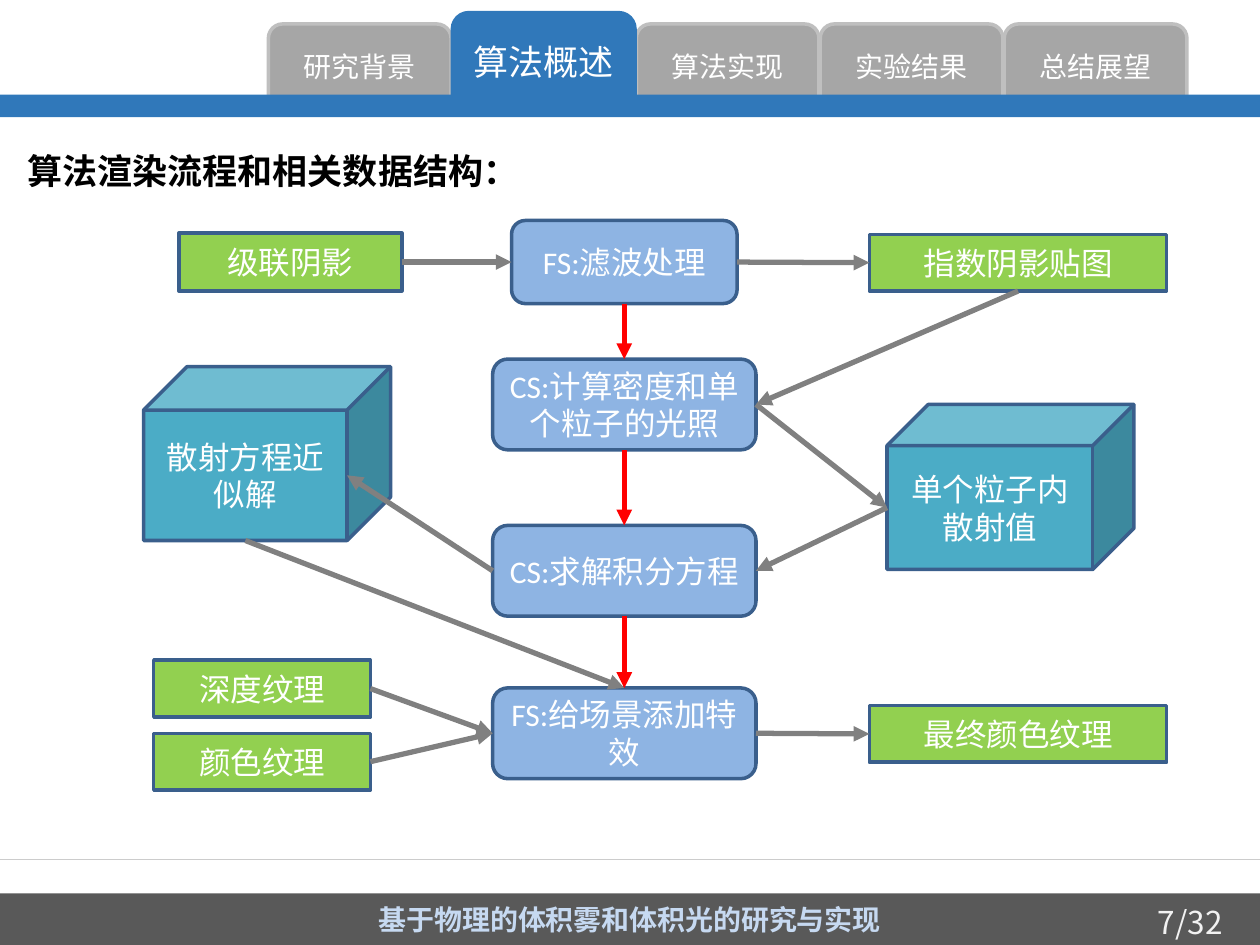
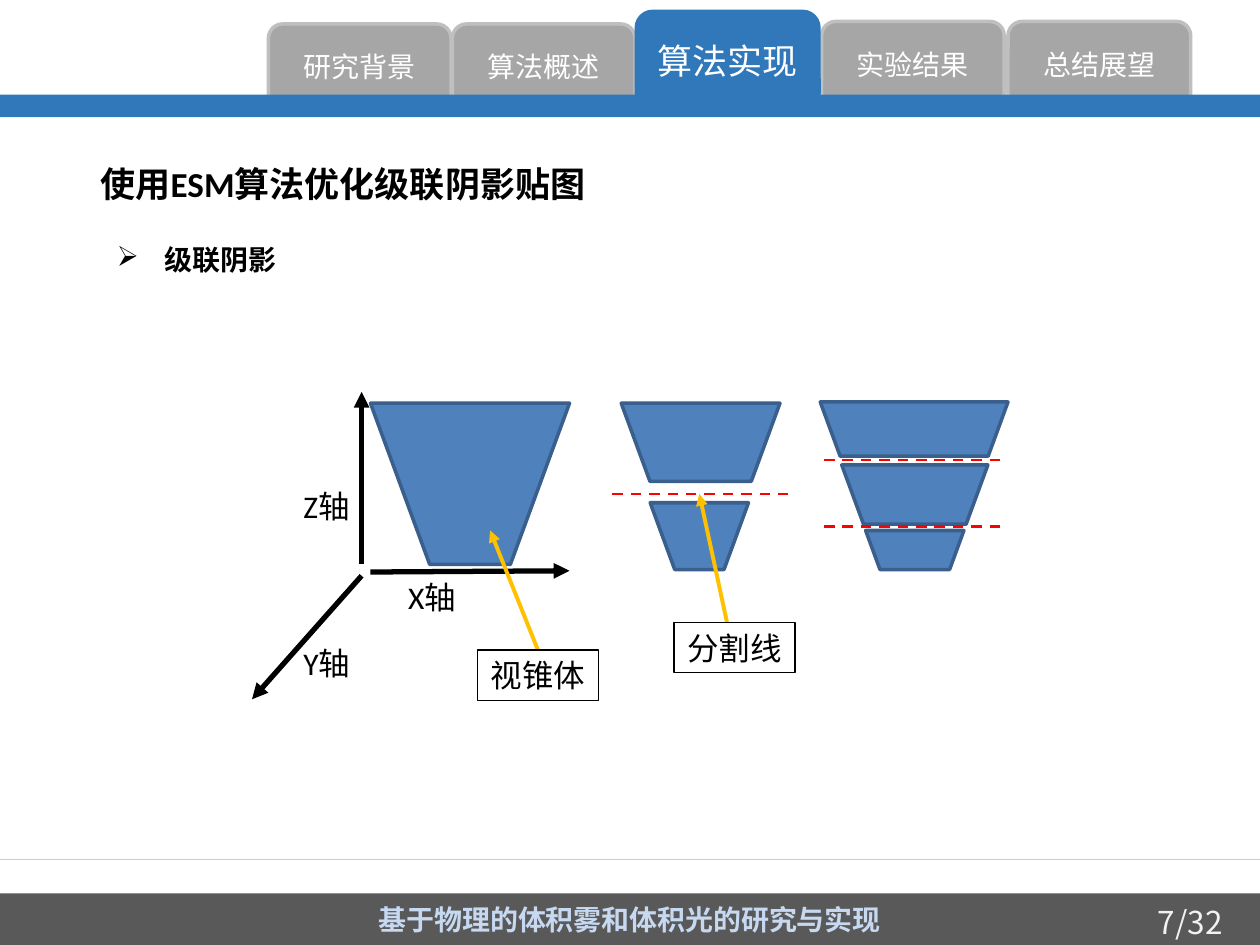
from lxml import etree
from pptx import Presentation
from pptx.dml.color import RGBColor
from pptx.enum import dml, shapes, text
from pptx.oxml import ns
from pptx.util import Inches, Pt

HUE = {
    "blue": "3078BA", "tab": "A6A6A6", "rim": "BFBFBF", "foot": "595959",
    "pale": "C6D9F1", "page": "F2F2F2", "rule": "CCCCCC", "white": "FFFFFF",
    "black": "000000", "green": "92D050", "step": "8EB4E3", "cube": "4BACC6",
    "edge": "3A5F8C", "cone": "4F81BD", "gray": "808080", "red": "FF0000",
    "gold": "FFC000",
}
LATIN, HAN = "Calibri", "Noto Sans CJK SC"
KIND = shapes.MSO_SHAPE
MID = text.PP_ALIGN.CENTER
TABS = ["研究背景", "算法概述", "算法实现", "实验结果", "总结展望"]


def rgb(hue):
    return RGBColor.from_string(HUE[hue])


def write(shape, words, size=18, hue="white", font=LATIN, bold=False,
          align=None, wrap=True, bullet=None):
    frame = shape.text_frame
    frame.word_wrap = wrap
    para = frame.paragraphs[0]
    para.alignment = align
    run = para.add_run()
    run.text = words
    run.font.size, run.font.bold, run.font.name = Pt(size), bold, font
    run.font.color.rgb = rgb(hue)
    props = run.font._element
    props.set("lang", "zh-CN")
    etree.SubElement(props, ns.qn("a:ea"), typeface=HAN)
    if bullet:
        props = para._p.get_or_add_pPr()
        props.set("marL", str(Inches(0.38)))
        props.set("indent", str(Inches(-0.38)))
        etree.SubElement(props, ns.qn("a:buChar"), char=bullet)


def label(slide, box, words, **style):
    note = slide.shapes.add_textbox(*map(Inches, box))
    write(note, words, **style)
    return note


def block(slide, kind, box, fill=None, edge=None, width=2, words=None, **style):
    shape = slide.shapes.add_shape(kind, *map(Inches, box))
    shape.shadow.inherit = False
    if fill:
        shape.fill.solid()
        shape.fill.fore_color.rgb = rgb(fill)
    else:
        shape.fill.background()
    if edge:
        shape.line.color.rgb = rgb(edge)
        shape.line.width = Pt(width)
    else:
        shape.line.fill.background()
    if words:
        shape.text_frame.vertical_anchor = text.MSO_ANCHOR.MIDDLE
        write(shape, words, **{"align": MID, **style})
    return shape


def link(slide, start, end, hue="gray", width=3, arrow=True, dash=False):
    line = slide.shapes.add_connector(
        shapes.MSO_CONNECTOR.STRAIGHT, *map(Inches, (*start, *end)))
    line.line.color.rgb = rgb(hue)
    line.line.width = Pt(width)
    if dash:
        line.line.dash_style = dml.MSO_LINE.DASH
    if arrow:
        etree.SubElement(line.line._get_or_add_ln(), ns.qn("a:tailEnd"),
                         type="triangle")
    etree.SubElement(line._element.spPr, ns.qn("a:effectLst"))


# Tabs and the band below them
def header(slide, active, top=0.1, moved=None):
    order = sorted(range(len(TABS)), key=lambda i: i == active)
    for i in order:
        x, y = (moved or {}).get(i, (2.13 + 1.46 * i, 0.19))
        look = dict(fill="tab", edge="rim", size=16)
        high = 0.68
        if i == active:
            look = dict(fill="blue", edge="blue", size=20)
            y, high = top, 0.78
        block(slide, KIND.ROUNDED_RECTANGLE, (x, y, 1.45, high),
              words=TABS[i], font=HAN, **look)
    block(slide, KIND.RECTANGLE, (0, 0.75, 10, 0.18), "blue")


# Rule, footer bar and page number
def footer(slide, y=6.82):
    link(slide, (0, y), (10, y), "rule", 0.75, arrow=False)
    block(slide, KIND.RECTANGLE, (0, y + 0.27, 10, 0.41), "foot",
          words="基于物理的体积雾和体积光的研究与实现",
          size=16, hue="pale", font=HAN, bold=True)
    label(slide, (9.09, y + 0.3, 0.91, 0.4), "7/32", hue="page", font=HAN)


def heading(slide, box, words):
    label(slide, box, words, size=20, hue="black", bold=True)


def spot(node, side):
    """Point in the middle of one side; for a cube, of its front face."""
    kind, x, y, w, h = node
    if kind == KIND.CUBE:
        deep = min(w, h) / 4
        y, w, h = y + deep, w - deep, h - deep
    across, down = {"t": (0.5, 0), "l": (0, 0.5),
                    "b": (0.5, 1), "r": (1, 0.5)}[side]
    return x + w * across, y + h * down


# Render pipeline with its data
def flow(slide, left, top):
    kinds = {"data": (KIND.RECTANGLE, "green"),
             "step": (KIND.ROUNDED_RECTANGLE, "step"),
             "cube": (KIND.CUBE, "cube")}
    parts = {
        "shade": ("data", 0.28, 0.1, 1.77, 0.46, "级联阴影"),
        "blur": ("step", 2.92, 0, 1.79, 0.66, "FS:滤波处理"),
        "map": ("data", 5.76, 0.11, 2.36, 0.45, "指数阴影贴图"),
        "light": ("step", 2.77, 1.1, 2.09, 0.72, "CS:计算密度和单个粒子的光照"),
        "value": ("cube", 5.9, 1.46, 1.96, 1.31, "单个粒子内散射值"),
        "root": ("cube", 0, 1.16, 1.96, 1.38, "散射方程近似解"),
        "solve": ("step", 2.77, 2.42, 2.09, 0.72, "CS:求解积分方程"),
        "depth": ("data", 0.08, 3.49, 1.72, 0.45, "深度纹理"),
        "tint": ("data", 0.08, 4.07, 1.72, 0.45, "颜色纹理"),
        "blend": ("step", 2.77, 3.71, 2.09, 0.72, "FS:给场景添加特效"),
        "final": ("data", 5.76, 3.85, 2.36, 0.45, "最终颜色纹理"),
    }
    nodes = {}
    for name, (role, x, y, w, h, words) in parts.items():
        kind, fill = kinds[role]
        box = left + x, top + y, w, h
        block(slide, kind, box, fill, "edge", words=words)
        nodes[name] = kind, *box

    # Data arrows, then the order of the steps
    for a, out, b, into in [
            ("shade", "r", "blur", "l"), ("blur", "r", "map", "l"),
            ("map", "b", "light", "r"), ("light", "r", "value", "l"),
            ("value", "l", "solve", "r"), ("solve", "l", "root", "r"),
            ("root", "b", "blend", "t"), ("depth", "r", "blend", "l"),
            ("tint", "r", "blend", "l"), ("blend", "r", "final", "l")]:
        link(slide, spot(nodes[a], out), spot(nodes[b], into))
    steps = ["blur", "light", "solve", "blend"]
    for a, b in zip(steps, steps[1:]):
        link(slide, spot(nodes[a], "b"), spot(nodes[b], "t"), "red")


# View cone, whole and split, beside its axes
def cones(slide, left, top):
    def at(x, y):
        return left + x, top + y

    for start, end in [((0.87, 1.38), (0.87, 0.01)),
                       ((0.94, 1.44), (2.52, 1.43)),
                       ((0.87, 1.47), (0, 2.45))]:
        link(slide, at(*start), at(*end), "black")
    for x, y, w, h in [(0.94, 0.1, 1.58, 1.28),
                       (2.93, 0.1, 1.26, 0.62), (3.16, 0.89, 0.78, 0.53),
                       (4.51, 0.09, 1.49, 0.43), (4.68, 0.59, 1.16, 0.47),
                       (4.87, 1.11, 0.78, 0.31)]:
        cone = block(slide, KIND.TRAPEZOID, (*at(x, y), w, h), "cone", "edge")
        cone.rotation = 180
        cone.adjustments[0] = 0.367
    for x, y, words in [(1.14, 1.44, "X轴"), (0.31, 1.96, "Y轴"),
                        (0.31, 0.72, "Z轴")]:
        label(slide, (*at(x, y), 0.58, 0.4), words, hue="black")

    # Split lines
    for x, y in [(2.86, 0.82), (4.54, 0.55), (4.54, 1.08)]:
        link(slide, at(x, y), at(x + 1.45, y), "red", 1.5,
             arrow=False, dash=True)

    # Callouts
    for x, y, words, start, tip in [
            (1.79, 2.06, "视锥体", 2.27, (1.89, 1.11)),
            (3.35, 1.84, "分割线", 3.77, (3.55, 0.82))]:
        link(slide, at(start, y), at(*tip), "gold", 2.25)
        block(slide, KIND.RECTANGLE, (*at(x, y), 0.96, 0.4), None, "black",
              0.75, words, hue="black", wrap=False)


def main():
    deck = Presentation()
    deck.slide_width, deck.slide_height = Inches(10), Inches(7.5)
    blank = deck.slide_layouts[6]

    slide = deck.slides.add_slide(blank)
    header(slide, 1)
    footer(slide)
    heading(slide, (0.12, 1.14, 3.94, 0.44), "算法渲染流程和相关数据结构：")
    flow(slide, 1.14, 1.75)

    slide = deck.slides.add_slide(blank)
    header(slide, 2, 0.09, {3: (6.52, 0.17), 4: (8, 0.17)})
    footer(slide)
    heading(slide, (0.7, 1.24, 5.01, 0.44), "使用ESM算法优化级联阴影贴图")
    label(slide, (0.83, 1.88, 3.26, 0.37), "级联阴影", size=16, hue="black",
          bold=True, bullet="➢")
    cones(slide, 2, 3.1)

    deck.save("out.pptx")


if __name__ == "__main__":
    main()
